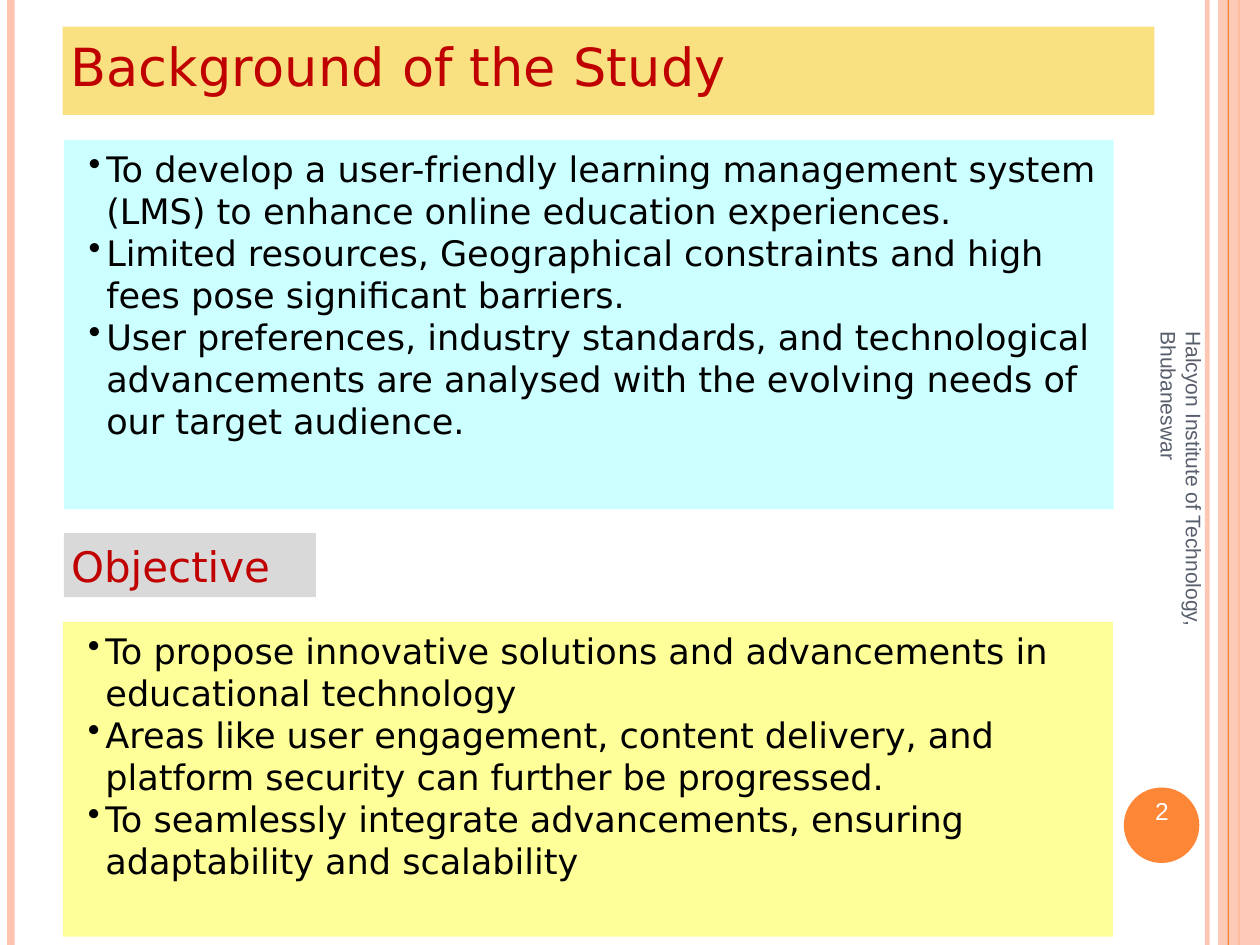
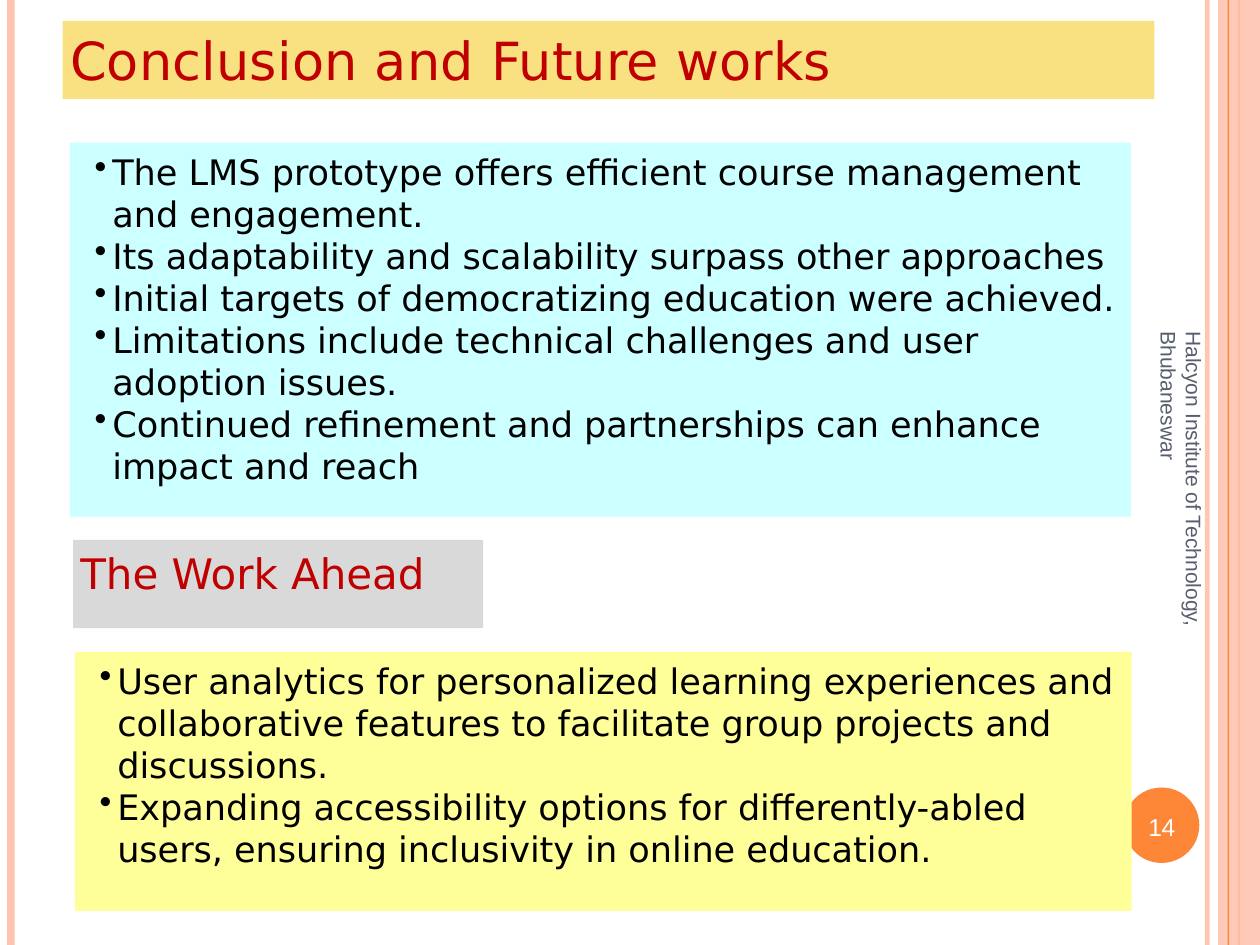
from lxml.etree import SubElement
from pptx import Presentation
from pptx.dml.color import RGBColor
from pptx.enum.shapes import MSO_SHAPE as Shape
from pptx.enum.text import MSO_ANCHOR as Anchor, PP_ALIGN as Align
from pptx.oxml.ns import qn
from pptx.util import Pt

PEACH, ORANGE, GOLD = "FEC3AE", "FE8637", "F9E181"
CYAN, YELLOW, GREY = "CCFFFF", "FFFF99", "D9D9D9"
RED, BLACK, WHITE, SLATE = "C00000", "000000", "FFFFFF", "575F6D"

SANS, ARIAL = "DejaVu Sans", "Arial"
TITLE = {"font": SANS, "size": 32, "leading": 38.4, "color": RED, "spacing": 10}
HEADING = {"font": SANS, "size": 25.6, "leading": 30.7, "color": RED}
BODY = {"font": SANS, "size": 21.4, "leading": 25.6, "color": BLACK, "bullet": "•"}
FOOTER = {"font": ARIAL, "size": 12.8, "leading": 15.3, "color": SLATE}
NUMBER = {"font": ARIAL, "size": 14.9, "leading": 17.9, "color": WHITE,
          "spacing": -20, "align": Align.CENTER}

INSET = 4.5
INSTITUTE = "Halcyon Institute of Technology, Bhubaneswar"
STRIPES = [
    (734.4, 3, PEACH, 93),
    (4.3, 4.7, PEACH, 100),
    (754.6, 1.2, ORANGE, 100),
    (742.4, 25.6, PEACH, 87),
    (748.3, 0.8, ORANGE, 100),
]

PAGES = [
    {
        "number": ("2", 485.3),
        "panels": [
            ((38.2, 16.3, 665.5, 53.8), GOLD, TITLE, ["Background of the Study"]),
            ((38.9, 85.3, 640, 225), CYAN, BODY, [
                "To develop a user-friendly learning management system (LMS) "
                "to enhance online education experiences.",
                "Limited resources, Geographical constraints and high fees "
                "pose significant barriers.",
                "User preferences, industry standards, and technological advancements "
                "are analysed with the evolving needs of our target audience.",
            ]),
            ((38.9, 325, 153.7, 39), GREY, HEADING, ["Objective"]),
            ((38.4, 379, 640, 192), YELLOW, BODY, [
                "To propose innovative solutions and advancements in educational technology",
                "Areas like user engagement, content delivery, and platform security "
                "can further be progressed.",
                "To seamlessly integrate advancements, ensuring adaptability and scalability",
            ]),
        ],
    },
    {
        "number": ("14", 494.8),
        "panels": [
            ((38.2, 12.7, 665.5, 47.6), GOLD, TITLE, ["Conclusion and Future works"]),
            ((42.6, 87, 646.8, 228), CYAN, BODY, [
                "The LMS prototype offers efficient course management and engagement.",
                "Its adaptability and scalability surpass other approaches",
                "Initial targets of democratizing education were achieved.",
                "Limitations include technical challenges and user adoption issues.",
                "Continued refinement and partnerships can enhance impact and reach",
            ]),
            ((44.5, 329.1, 250, 53.8), GREY, HEADING, ["The Work Ahead"]),
            ((45.6, 397.3, 644.2, 158), YELLOW, BODY, [
                "User analytics for personalized learning experiences and collaborative "
                "features to facilitate group projects and discussions.",
                "Expanding accessibility options for differently-abled users, "
                "ensuring inclusivity in online education.",
            ]),
        ],
    },
]


def rgb(color):
    """Turn a hex string into a colour."""
    return RGBColor.from_string(color)


def assign(target, values):
    """Set attributes of an object from a dict."""
    for name, value in values.items():
        setattr(target, name, value)


class Sketch:
    """Hold the deck, its style and the current page."""

    def __init__(self):
        """Start a deck of 4:3 pages."""
        self.deck = Presentation()
        assign(self.deck, {"slide_width": Pt(768), "slide_height": Pt(576)})
        self.page = None

    def add_page(self):
        """Add a page with its side stripes and number disc."""
        self.page = self.deck.slides.add_slide(self.deck.slide_layouts[6])
        for left, width, color, opacity in STRIPES:
            self.block((left, 0, width, 576), color, opacity=opacity)
        self.block((685, 480, 46, 46), ORANGE, Shape.OVAL)

    def block(self, area, color, kind=Shape.RECTANGLE, opacity=100):
        """Draw a filled shape without outline."""
        box = self.page.shapes.add_shape(kind, *map(Pt, area))
        box.shadow.inherit = False
        box.line.fill.background()
        box.fill.solid()
        box.fill.fore_color.rgb = rgb(color)
        if opacity < 100:
            tint = box._element.spPr.find(qn("a:solidFill"))[0]
            SubElement(tint, qn("a:alpha"), val=str(opacity * 1000))
        return box

    def panel(self, area, color, style, lines):
        """Draw a filled rectangle holding text."""
        self.add_text(self.block(area, color), style, lines, INSET)

    def label(self, area, style, line, rotation=0):
        """Place a line of free text."""
        box = self.page.shapes.add_textbox(*map(Pt, area))
        box.rotation = rotation
        self.add_text(box, style, [line])

    def add_text(self, box, style, lines, inset=0):
        """Fill a shape with styled paragraphs."""
        frame = box.text_frame
        assign(frame, {"word_wrap": True, "vertical_anchor": Anchor.TOP})
        sides = ("left", "top", "right", "bottom")
        assign(frame, {f"margin_{side}": Pt(inset) for side in sides})
        for index, line in enumerate(lines):
            para = frame.add_paragraph() if index else frame.paragraphs[0]
            assign(para, {"alignment": style.get("align", Align.LEFT),
                          "line_spacing": Pt(style["leading"])})
            if "bullet" in style:
                self.bullet(para, style["bullet"])
            span = para.add_run()
            span.text = line
            assign(span.font, {"name": style["font"], "size": Pt(style["size"])})
            span.font.color.rgb = rgb(style["color"])
            if "spacing" in style:
                span._r.get_or_add_rPr().set("spc", str(style["spacing"]))

    def bullet(self, para, symbol):
        """Give a paragraph a hanging bullet."""
        para.level = 1
        props = para._p.get_or_add_pPr()
        props.set("marL", str(Pt(21.4)))
        props.set("indent", str(Pt(-10.8)))
        SubElement(props, qn("a:buChar"), char=symbol)


def main():
    """Build both pages and save the deck."""
    sketch = Sketch()
    for content in PAGES:
        sketch.add_page()
        for panel in content["panels"]:
            sketch.panel(*panel)
        number, top = content["number"]
        sketch.label((689.8, top, 36.7, 18), NUMBER, number)
        sketch.label((595.4, 316, 254.2, 26), FOOTER, INSTITUTE, rotation=90)
    sketch.deck.save("out.pptx")


if __name__ == "__main__":
    main()
